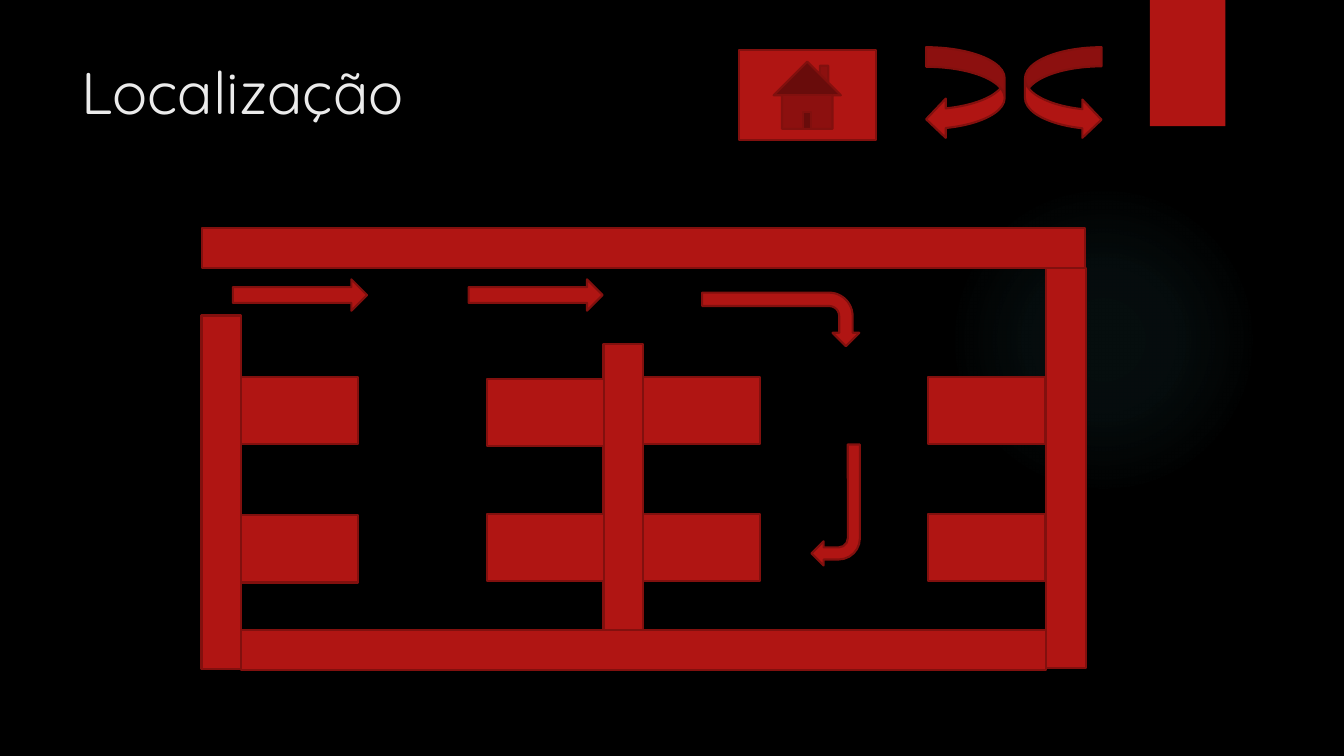
"""Build the location slide: a floor plan with a walking route and navigation buttons."""
from lxml.etree import SubElement
from pptx import Presentation
from pptx.dml.color import RGBColor
from pptx.enum.shapes import MSO_SHAPE
from pptx.enum.text import MSO_ANCHOR
from pptx.oxml.ns import qn
from pptx.util import Cm, Pt

TITLE = "Localização"
FONT = "Quicksand"
BLACK, RED, DARK_RED, PALE, TEAL = "000000", "B01513", "82100E", "EBEBEB", "50B9C1"

TITLE_AREA = (1.8, 1.27, 26.14, 3.89)
GLOW_AREA = (23.9, 4.65, 7.82, 7.82)
GLOW_STOPS = [(0, 7), (36, 6), (69, 0)]
TAB_AREA = (28.98, 0, 1.9, 3.18)

WALL = 1.0
WALLS = [
    (5.08, 7.95, WALL, 8.92),
    (6.07, 15.88, 20.29, WALL),
    (26.37, 6.76, WALL, 10.08),
    (5.09, 5.75, 22.25, WALL),
    (15.21, 8.66, WALL, 7.21),
]

SHELF_SIZE = (2.95, 1.7)
SHELF_COLUMNS = {
    6.07: (9.5, 12.98),
    12.27: (9.55, 12.95),
    16.21: (9.5, 12.95),
    23.39: (9.5, 12.95),
}

SYMBOLS = [
    (MSO_SHAPE.BENT_ARROW, (19.0, 6.07, 1.35, 3.96), 90),
    (MSO_SHAPE.BENT_ARROW, (20.45, 11.2, 1.22, 3.05), 180),
    (MSO_SHAPE.RIGHT_ARROW, (5.87, 7.04, 3.38, 0.79), 0),
    (MSO_SHAPE.RIGHT_ARROW, (11.81, 7.04, 3.38, 0.79), 0),
    (MSO_SHAPE.ACTION_BUTTON_HOME, (18.62, 1.27, 3.45, 2.26), 0),
    (MSO_SHAPE.CURVED_RIGHT_ARROW, (25.83, 1.19, 1.93, 2.31), 0),
    (MSO_SHAPE.CURVED_LEFT_ARROW, (23.34, 1.19, 1.98, 2.31), 0),
]


def paint(color_format, color):
    color_format.rgb = RGBColor.from_string(color)


def add_red(page, kind, area, rotation=0, outlined=True):
    shape = page.shapes.add_shape(kind, *map(Cm, area))
    shape.rotation = rotation
    shape.shadow.inherit = False
    shape.fill.solid()
    paint(shape.fill.fore_color, RED)
    if outlined:
        paint(shape.line.color, DARK_RED)
        shape.line.width = Pt(1.5)
    else:
        shape.line.fill.background()
    return shape


def add_glow(page):
    glow = add_red(page, MSO_SHAPE.OVAL, GLOW_AREA, outlined=False)
    glow.fill.gradient()
    gradient = glow.fill._xPr.find(qn("a:gradFill"))
    for child in list(gradient):
        gradient.remove(child)
    stops = SubElement(gradient, qn("a:gsLst"))
    for position, opacity in GLOW_STOPS:
        stop = SubElement(stops, qn("a:gs"), pos=str(position * 1000))
        color = SubElement(stop, qn("a:srgbClr"), val=TEAL)
        SubElement(color, qn("a:alpha"), val=str(opacity * 1000))
    circle = SubElement(gradient, qn("a:path"), path="circle")
    SubElement(circle, qn("a:fillToRect"), l="50000", t="50000", r="50000", b="50000")


def add_title(page):
    box = page.shapes.add_textbox(*map(Cm, TITLE_AREA))
    frame = box.text_frame
    frame.word_wrap = True
    frame.vertical_anchor = MSO_ANCHOR.TOP
    frame.text = TITLE
    font = frame.paragraphs[0].runs[0].font
    font.name, font.size = FONT, Pt(42)
    paint(font.color, PALE)


def main():
    deck = Presentation()
    deck.slide_width, deck.slide_height = Cm(33.87), Cm(19.05)
    page = deck.slides.add_slide(deck.slide_layouts[6])
    page.background.fill.solid()
    paint(page.background.fill.fore_color, BLACK)

    add_glow(page)
    add_red(page, MSO_SHAPE.RECTANGLE, TAB_AREA, outlined=False)
    add_title(page)

    shelves = [(left, top, *SHELF_SIZE) for left, tops in SHELF_COLUMNS.items() for top in tops]
    for area in WALLS + shelves:
        add_red(page, MSO_SHAPE.RECTANGLE, area)
    for kind, area, rotation in SYMBOLS:
        add_red(page, kind, area, rotation)

    deck.save("out.pptx")


if __name__ == "__main__":
    main()
